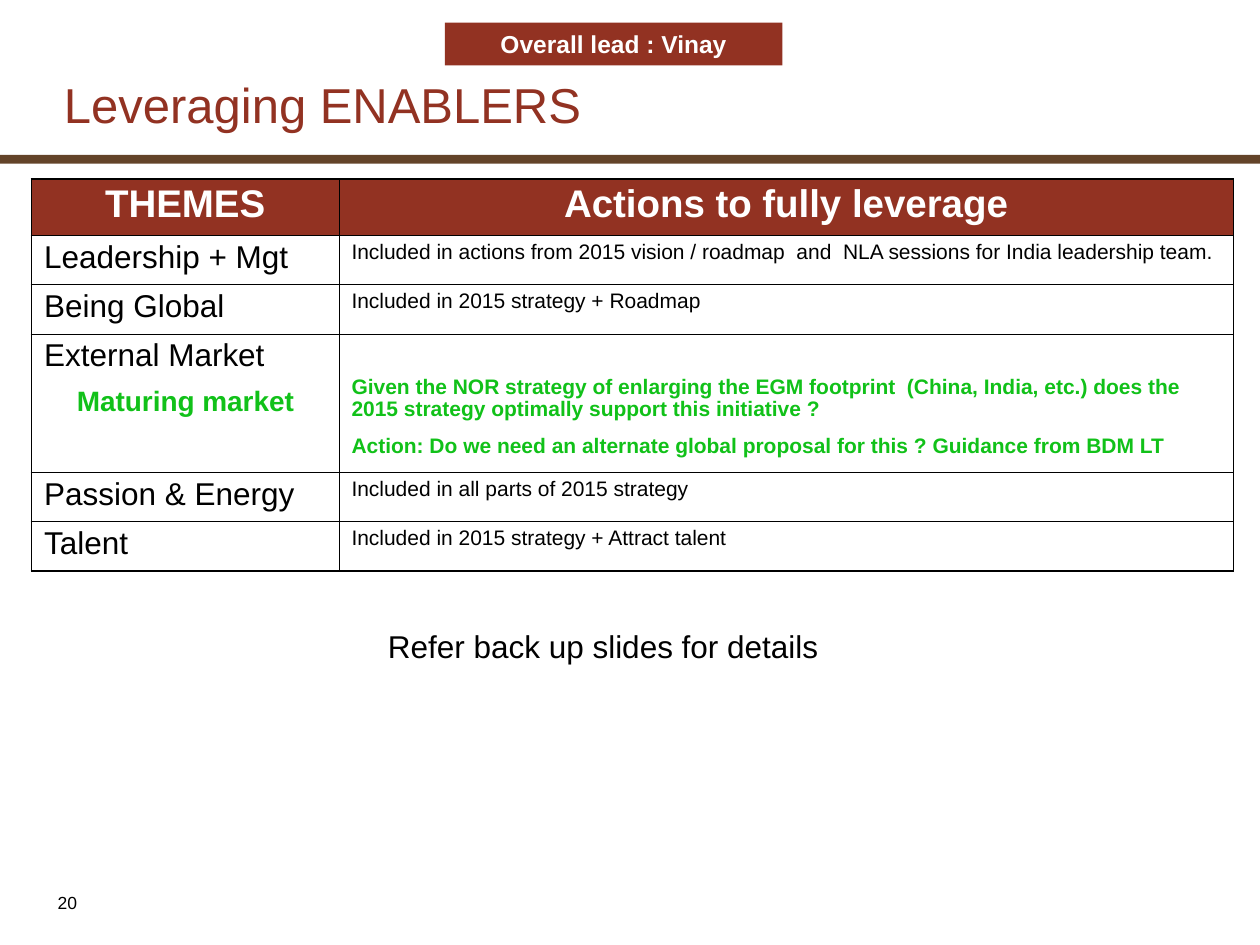
from lxml.etree import SubElement
from pptx import Presentation
from pptx.dml.color import RGBColor
from pptx.enum.shapes import MSO_SHAPE
from pptx.enum.text import MSO_ANCHOR, PP_ALIGN
from pptx.oxml.ns import qn
from pptx.util import Inches, Pt

BRICK = RGBColor(0x92, 0x32, 0x22)
BROWN = RGBColor(0x63, 0x43, 0x29)
GREEN = RGBColor(0x11, 0xC1, 0x19)
BLACK = RGBColor(0, 0, 0)
WHITE = RGBColor(255, 255, 255)

GRID_COLUMNS, GRID_ROWS = 100, 75
OUTER_LINE, INNER_LINE = Pt(1.08), Pt(0.45)

COLUMN_WIDTHS = (24.4, 71)
ROW_HEIGHTS = (4.5, 3.9, 3.9, 11, 3.9, 3.9)
HEADINGS = ("THEMES", "Actions to fully leverage")
EXTERNAL_MARKET = "External Market"
ENABLERS = (
    ("Leadership + Mgt", "Included in actions from 2015 vision / roadmap  and  NLA sessions "
     "for India leadership team."),
    ("Being Global", "Included in 2015 strategy + Roadmap"),
    (EXTERNAL_MARKET, "Given the NOR strategy of enlarging the EGM footprint  (China, India, "
     "etc.) does the 2015 strategy optimally support this initiative ?"),
    ("Passion & Energy", "Included in all parts of 2015 strategy"),
    ("Talent", "Included in 2015 strategy + Attract talent"),
)


class SlideBuilder:
    """Places styled elements on a grid of 100 columns by 75 rows."""

    font_name = "Arial"
    line_spacing = 0.95

    def __init__(self, presentation):
        self.column = presentation.slide_width / GRID_COLUMNS
        self.row = presentation.slide_height / GRID_ROWS
        self.slide = presentation.slides.add_slide(presentation.slide_layouts[6])

    def area(self, left, top, width, height):
        return (round(left * self.column), round(top * self.row),
                round(width * self.column), round(height * self.row))

    def style_text(self, paragraph, text, size, color=BLACK, bold=False, align=PP_ALIGN.LEFT):
        paragraph.text = text
        paragraph.alignment = align
        font = paragraph.font
        font.name, font.size, font.bold = self.font_name, Pt(size), bold
        font.color.rgb = color

    def text(self, place, text, size, color=BLACK, anchor=MSO_ANCHOR.TOP):
        frame = self.slide.shapes.add_textbox(*self.area(*place)).text_frame
        frame.word_wrap = True
        frame.vertical_anchor = anchor
        self.style_text(frame.paragraphs[0], text, size, color)

    def bar(self, place, color):
        shape = self.slide.shapes.add_shape(MSO_SHAPE.RECTANGLE, *self.area(*place))
        shape.shadow.inherit = False
        shape.fill.solid()
        shape.fill.fore_color.rgb = color
        shape.line.fill.background()
        return shape

    def label(self, place, text, size, color):
        shape = self.bar(place, color)
        self.style_text(shape.text_frame.paragraphs[0], text, size, WHITE, True,
                        PP_ALIGN.CENTER)

    def table(self, left, top, widths, heights):
        place = self.area(left, top, sum(widths), sum(heights))
        table = self.slide.shapes.add_table(len(heights), len(widths), *place).table
        for column, width in zip(table.columns, widths):
            column.width = round(width * self.column)
        for row, height in zip(table.rows, heights):
            row.height = round(height * self.row)
        last_row, last_column = len(heights) - 1, len(widths) - 1
        for r in range(len(heights)):
            for c in range(len(widths)):
                cell = table.cell(r, c)
                self.borders(cell, {"lnL": c == 0, "lnR": c == last_column,
                                    "lnT": r == 0, "lnB": r == last_row})
                cell.fill.solid()
                cell.fill.fore_color.rgb = WHITE if r else BRICK
        return table

    def borders(self, cell, outer_sides):
        """Draws each side, heavier where it lies on the table's edge."""
        properties = cell._tc.get_or_add_tcPr()
        for side, is_outer in outer_sides.items():
            width = OUTER_LINE if is_outer else INNER_LINE
            line = SubElement(properties, qn(f"a:{side}"), w=str(int(width)))
            fill = SubElement(line, qn("a:solidFill"))
            SubElement(fill, qn("a:srgbClr"), val=str(BLACK))

    def cell_text(self, cell, text, size, **style):
        paragraph = cell.text_frame.paragraphs[0]
        self.style_text(paragraph, text, size, **style)
        paragraph.line_spacing = self.line_spacing

    def cell_addition(self, cell, text, size, indent=0):
        """Adds a green paragraph below the text already in the cell."""
        paragraph = cell.text_frame.add_paragraph()
        if indent:
            paragraph._p.get_or_add_pPr().set("marL", str(int(Inches(indent))))
        self.style_text(paragraph, text, size, GREEN, True)
        paragraph.line_spacing = self.line_spacing
        paragraph.space_before = Pt(8.2)


def main():
    presentation = Presentation()
    presentation.slide_width, presentation.slide_height = Inches(10), Inches(7.5)
    builder = SlideBuilder(presentation)

    builder.bar((0, 12.3, 100, 0.7), BROWN)
    builder.text((3.6, 70.3, 11.9, 2.7), "20", 10)
    builder.text((4.1, 5.6, 90, 5.5), "Leveraging ENABLERS", 28, BRICK, MSO_ANCHOR.BOTTOM)

    table = builder.table(2.5, 14.2, COLUMN_WIDTHS, ROW_HEIGHTS)
    for column, heading in enumerate(HEADINGS):
        builder.cell_text(table.cell(0, column), heading, 22,
                          color=WHITE, bold=True, align=PP_ALIGN.CENTER)
    for row, (theme, action) in enumerate(ENABLERS, start=1):
        theme_cell, action_cell = table.cell(row, 0), table.cell(row, 1)
        builder.cell_text(theme_cell, theme, 18)
        if theme == EXTERNAL_MARKET:
            builder.cell_addition(theme_cell, "Maturing market", 16, indent=0.26)
            action_cell.margin_top = Inches(0.34)
            builder.cell_text(action_cell, action, 12, color=GREEN, bold=True)
            builder.cell_addition(action_cell, "Action: Do we need an alternate global proposal "
                                  "for this ? Guidance from BDM LT", 12)
        else:
            builder.cell_text(action_cell, action, 12)

    builder.text((29.8, 49.3, 37, 4), "Refer back up slides for details", 18)
    builder.label((35.3, 1.8, 26.8, 3.4), "Overall lead : Vinay", 14, BRICK)
    presentation.save("out.pptx")


if __name__ == "__main__":
    main()
